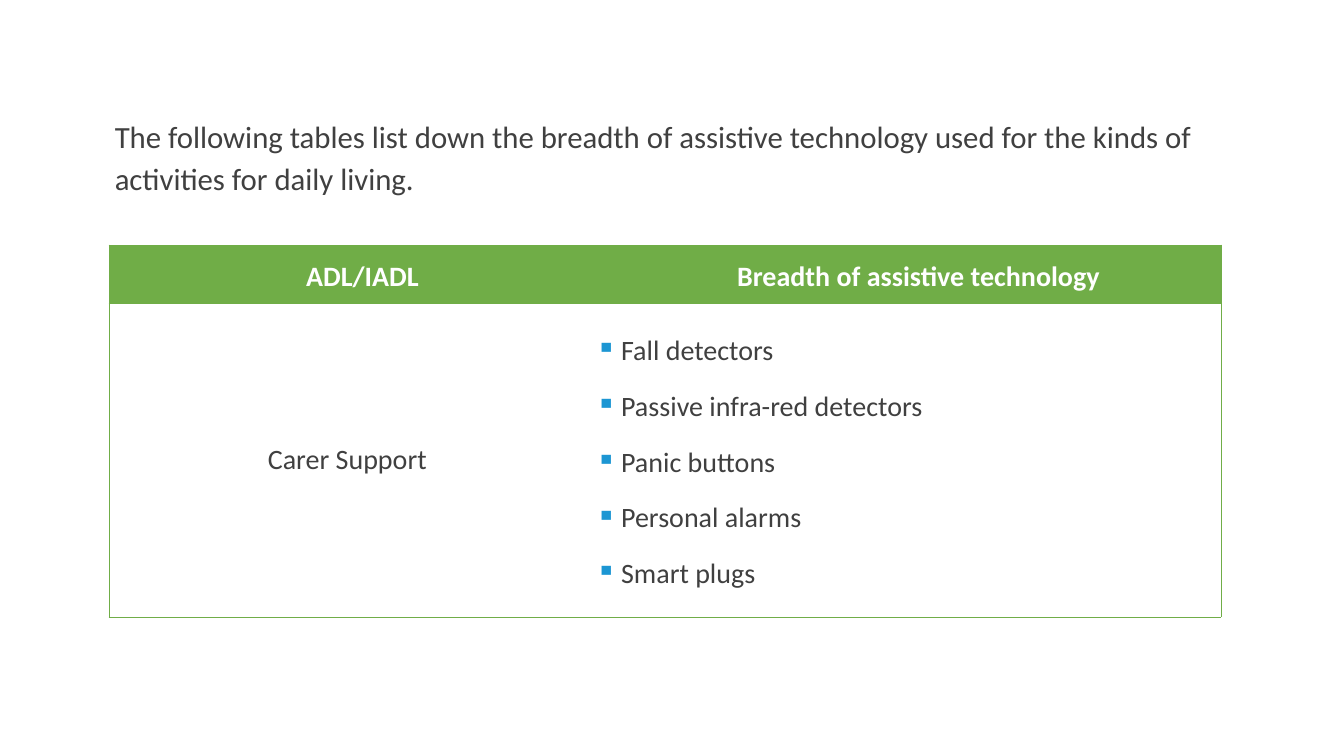
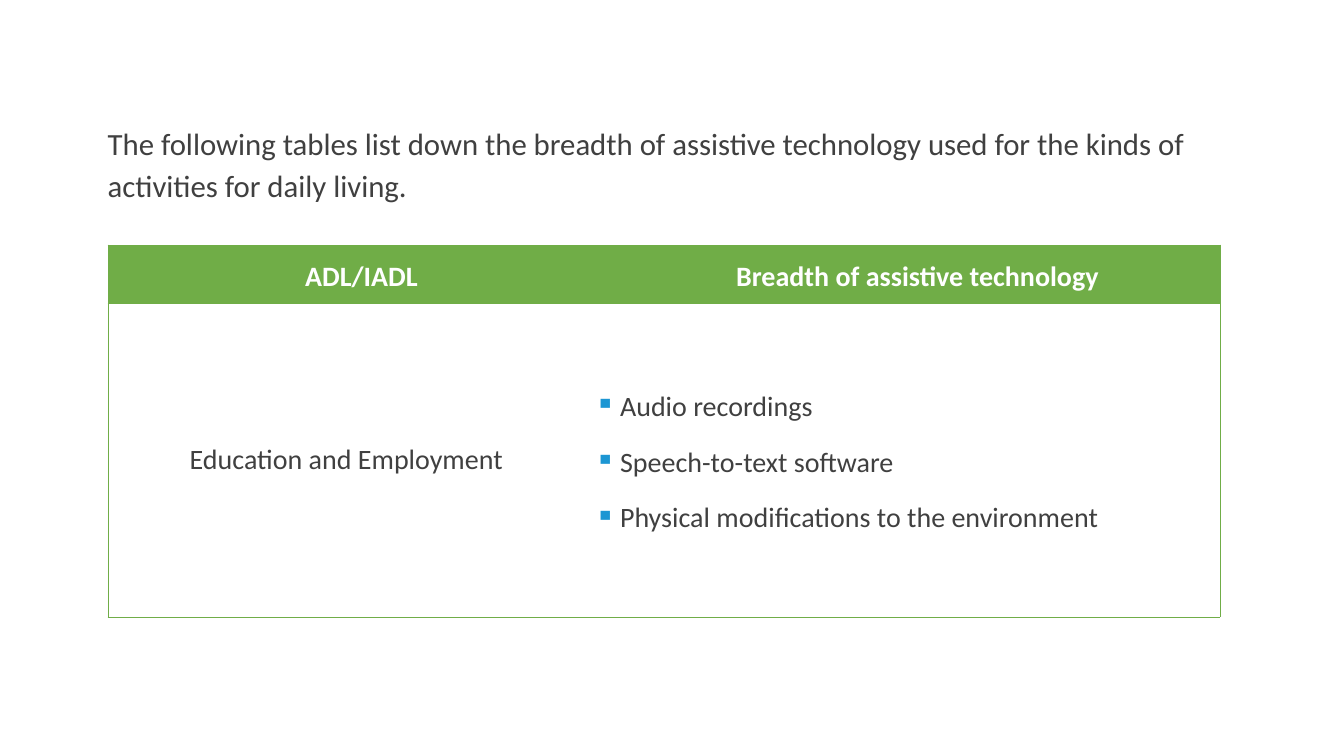
from lxml import etree
from pptx import Presentation
from pptx.dml.color import RGBColor
from pptx.enum.text import MSO_ANCHOR as Anchor, PP_ALIGN as Align
from pptx.oxml.ns import qn
from pptx.util import Inches, Pt

# Content
INTRO = ("The following tables list down the breadth of assistive technology "
         "used for the kinds of activities for daily living.")
HEADINGS = ["ADL/IADL", "Breadth of assistive technology"]
SLIDES = [
    {"activity": "Carer Support",
     "technologies": ["Fall detectors", "Passive infra-red detectors", "Panic buttons",
                      "Personal alarms", "Smart plugs"],
     "intro_at": (1.04, 1.07), "table_left": 1.08},
    {"activity": "Education and Employment",
     "technologies": ["Audio recordings", "Speech-to-text software",
                      "Physical modifications to the environment"],
     "intro_at": (0.97, 1.14), "table_left": 1.07},
]

# Shared style
FONT = "Calibri"
GREEN, BLUE, GREY, WHITE = "70AD47", "1C96D3", "404040", "FFFFFF"
INTRO_SIZE = (11.03, 4.76)
TABLE_TOP = 2.43
COLUMNS = [4.73, 6.3]
ROWS = [0.58, 3.11]


def color(value):
    return RGBColor.from_string(value)


def style_para(para, size, font_color, bold=False):
    para.font.name = FONT
    para.font.size = Pt(size)
    para.font.bold = bold
    para.font.color.rgb = color(font_color)


def space_para(para, line_spacing, first=True):
    para.line_spacing = line_spacing
    para.space_before = Pt(0 if first else 6)
    para.space_after = Pt(6)


def indent_para(para, left, hanging):
    props = para._p.get_or_add_pPr()
    props.set("marL", str(Inches(left)))
    props.set("indent", str(-Inches(hanging)))
    return props


def add_bullet(para):
    props = indent_para(para, 0.25, 0.25)
    bullet_color = etree.SubElement(props, qn("a:buClr"))
    etree.SubElement(bullet_color, qn("a:srgbClr"), val=BLUE)
    etree.SubElement(props, qn("a:buChar"), char="▪")


def set_borders(cell, sides):
    """Draw a green line on the given sides and none on the others."""
    props = cell._tc.get_or_add_tcPr()
    for side in "LRTB":
        line = etree.SubElement(props, qn(f"a:ln{side}"), w=str(Pt(0.5)))
        if side in sides:
            fill = etree.SubElement(line, qn("a:solidFill"))
            etree.SubElement(fill, qn("a:srgbClr"), val=GREEN)
        else:
            etree.SubElement(line, qn("a:noFill"))


def add_intro(page, left, top):
    box = page.shapes.add_textbox(Inches(left), Inches(top), *map(Inches, INTRO_SIZE))
    frame = box.text_frame
    frame.word_wrap = True
    frame.text = INTRO
    para = frame.paragraphs[0]
    space_para(para, 1.14)
    style_para(para, 22, GREY)


def add_activity_table(page, left, activity, technologies):
    frame = page.shapes.add_table(len(ROWS), len(COLUMNS), Inches(left), Inches(TABLE_TOP),
                                  Inches(sum(COLUMNS)), Inches(sum(ROWS)))
    table = frame.table
    table.horz_banding = False
    for column, width in zip(table.columns, COLUMNS):
        column.width = Inches(width)
    for row, height in zip(table.rows, ROWS):
        row.height = Inches(height)

    # Header row
    for index, heading in enumerate(HEADINGS):
        cell = table.cell(0, index)
        cell.margin_left = cell.margin_right = Inches(0.07)
        cell.margin_top = cell.margin_bottom = 0
        cell.text = heading
        para = cell.text_frame.paragraphs[0]
        indent_para(para, 0.55, 0.25)
        para.alignment = Align.CENTER
        space_para(para, 1.15)
        style_para(para, 20, WHITE, bold=True)

    # Activity
    cell = table.cell(1, 0)
    cell.text = activity
    para = cell.text_frame.paragraphs[0]
    para.alignment = Align.CENTER
    style_para(para, 20, GREY)

    # Bulleted technologies
    cell = table.cell(1, 1)
    cell.text = "\n".join(technologies)
    for index, para in enumerate(cell.text_frame.paragraphs):
        add_bullet(para)
        space_para(para, 1.14, first=index == 0)
        style_para(para, 20, GREY)

    # Outline and fills
    for row, row_sides in enumerate(["T", "TB"]):
        for column, outer_side in enumerate("LR"):
            cell = table.cell(row, column)
            cell.vertical_anchor = Anchor.MIDDLE
            set_borders(cell, row_sides + outer_side)
            if row == 0:
                cell.fill.solid()
                cell.fill.fore_color.rgb = color(GREEN)
            else:
                cell.fill.background()


def main():
    deck = Presentation()
    deck.slide_width, deck.slide_height = Inches(13.33), Inches(7.5)
    for content in SLIDES:
        page = deck.slides.add_slide(deck.slide_layouts[6])
        add_intro(page, *content["intro_at"])
        add_activity_table(page, content["table_left"], content["activity"],
                           content["technologies"])
    deck.save("out.pptx")


if __name__ == "__main__":
    main()
